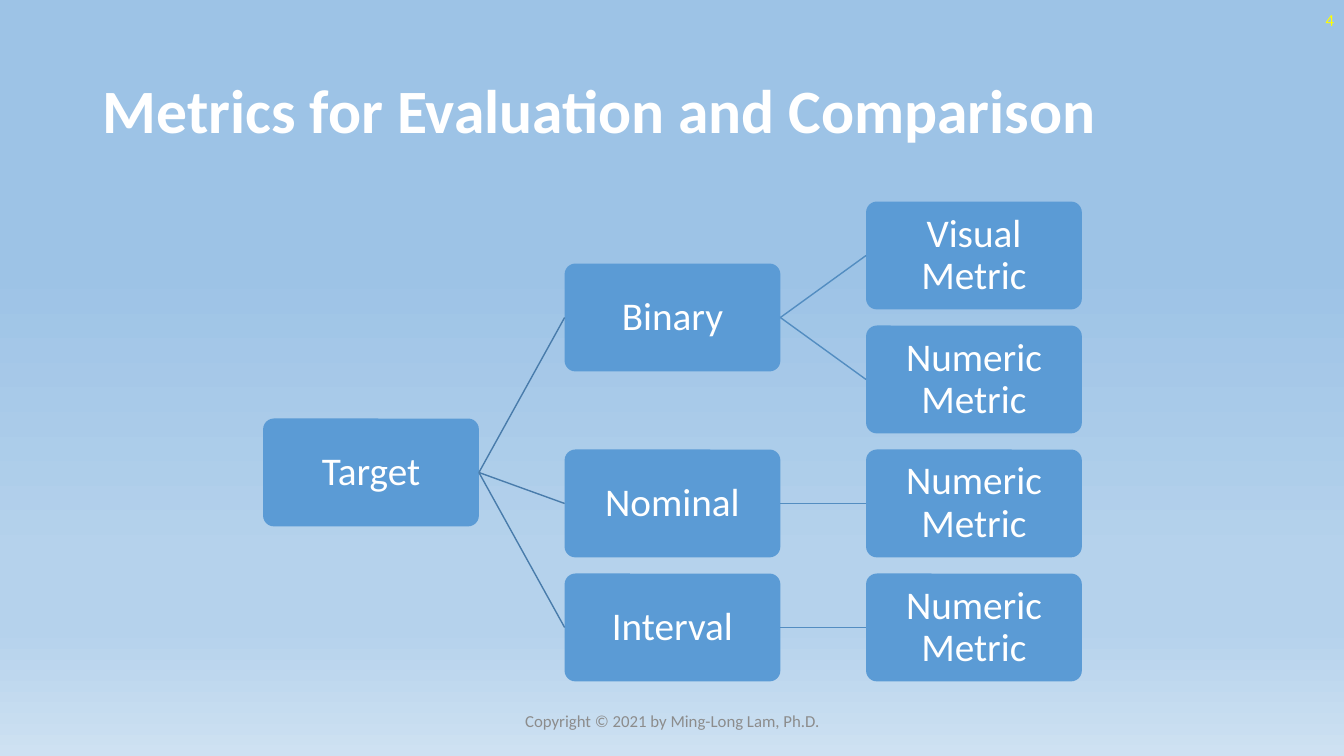
from lxml.etree import SubElement
from pptx import Presentation
from pptx.dml.color import RGBColor
from pptx.enum.shapes import MSO_CONNECTOR, MSO_SHAPE
from pptx.enum.text import MSO_ANCHOR, MSO_AUTO_SIZE, PP_ALIGN
from pptx.oxml.ns import qn
from pptx.util import Inches, Pt


def rgb(value):
    return RGBColor.from_string(value)


def write(sp, text, size=28, color="FFFFFF", bold=False,
          align=PP_ALIGN.CENTER, spacing=0.9, inset=None):
    tf = sp.text_frame
    tf.word_wrap = True
    tf.auto_size = MSO_AUTO_SIZE.NONE
    tf.vertical_anchor = MSO_ANCHOR.MIDDLE
    if inset is not None:
        tf.margin_left = tf.margin_right = Inches(inset)
        tf.margin_top = tf.margin_bottom = Inches(inset)
    p = tf.paragraphs[0]
    p.alignment = align
    p.line_spacing = spacing
    r = p.add_run()
    r.text = text
    r.font.name = "Calibri"
    r.font.size = Pt(size)
    r.font.bold = bold
    r.font.color.rgb = rgb(color)


prs = Presentation()
prs.slide_width, prs.slide_height = Inches(13.33), Inches(7.5)
s = prs.slides.add_slide(prs.slide_layouts[5])

fill = s.background.fill
fill.gradient()
fill.gradient_angle = 270
stops = s.element.find(".//" + qn("a:gsLst"))
for gs in list(stops):
    stops.remove(gs)
for pos, color in [(35, "9DC3E6"), (74, "B5D2EC"), (83, "B5D2EC"), (100, "CEE1F2")]:
    gs = SubElement(stops, qn("a:gs"), pos=str(pos * 1000))
    SubElement(gs, qn("a:srgbClr"), val=color)

title = s.shapes.title
title.left, title.top = Inches(0.92), Inches(0.4)
title.width, title.height = Inches(11.5), Inches(1.45)
write(title, "Metrics for Evaluation and Comparison", size=44, bold=True,
      align=PP_ALIGN.LEFT)

for text, left, top, width, color, align in [
    ("4", 10.33, 0, 3, "FFFF00", PP_ALIGN.RIGHT),
    ("Copyright © 2021 by Ming-Long Lam, Ph.D.", 4.42, 6.95, 4.5, "8C8C8C",
     PP_ALIGN.CENTER),
]:
    sp = s.shapes.add_textbox(Inches(left), Inches(top), Inches(width), Inches(0.4))
    write(sp, text, size=12, color=color, align=align, spacing=1.0)

LEFT, TOP = 2.61, 2
COL_STEP, ROW_STEP = 2.99, 1.23
BOX_W, BOX_H = 2.14, 1.07
LINE_COLORS = ["497CAB", "538DC1"]

nodes = [
    ("Target", 0, 1.75, None),
    ("Binary", 1, 0.5, 0),
    ("Visual Metric", 2, 0, 1),
    ("Numeric Metric", 2, 1, 1),
    ("Nominal", 1, 2, 0),
    ("Numeric Metric", 2, 2, 4),
    ("Interval", 1, 3, 0),
    ("Numeric Metric", 2, 3, 6),
]
boxes = []
for text, col, row, parent in nodes:
    sp = s.shapes.add_shape(
        MSO_SHAPE.ROUNDED_RECTANGLE,
        Inches(LEFT + col * COL_STEP), Inches(TOP + row * ROW_STEP),
        Inches(BOX_W), Inches(BOX_H))
    sp.adjustments[0] = 0.1
    sp.shadow.inherit = False
    sp.fill.solid()
    sp.fill.fore_color.rgb = rgb("5B9BD5")
    sp.line.fill.background()
    write(sp, text, inset=0.02)
    boxes.append(sp)
    if parent is not None:
        line = s.shapes.add_connector(MSO_CONNECTOR.STRAIGHT, 0, 0, 0, 0)
        line.begin_connect(boxes[parent], 3)
        line.end_connect(sp, 1)
        line.line.color.rgb = rgb(LINE_COLORS[col - 1])
        line.line.width = Pt(1)
        SubElement(line.element.spPr, qn("a:effectLst"))

prs.save("out.pptx")
